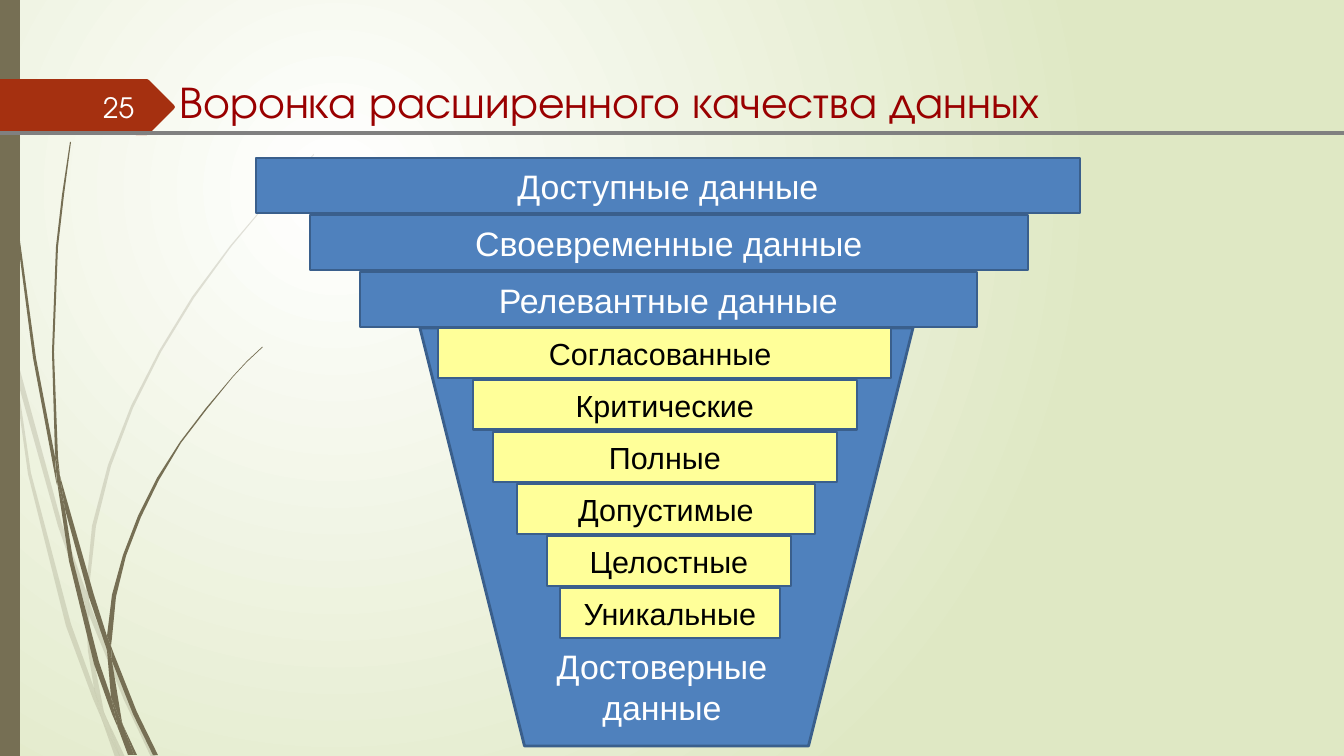
from dataclasses import dataclass

from lxml import etree
from pptx import Presentation
from pptx import util as u
from pptx.dml.color import RGBColor
from pptx.enum import shapes, text
from pptx.oxml.ns import qn

PX = 9071.43  # EMU in one px
W, H = 1344, 756
WHITE = RGBColor(0xFF, 0xFF, 0xFF)
BLACK = RGBColor(0x00, 0x00, 0x00)
LIME = RGBColor(0xDF, 0xE8, 0xC4)
OLIVE = RGBColor(0x76, 0x6F, 0x54)
RUST = RGBColor(0xA5, 0x30, 0x10)
MAROON = RGBColor(0x99, 0x00, 0x00)
GRAY = RGBColor(0x80, 0x80, 0x80)
BLUE = RGBColor(0x4F, 0x81, 0xBD)
NAVY = RGBColor(0x3A, 0x5F, 0x8C)
YELLOW = RGBColor(0xFF, 0xFF, 0x99)
HEAD_FONT, BODY_FONT = "TeX Gyre Adventor", "Arial"

Points = list[tuple[int, int]]


@dataclass
class Grass:
    alpha: int
    blades: list[Points]


@dataclass
class Band:
    label: str
    x: int
    w: int


@dataclass
class Tier:
    bands: list[Band]
    top: int
    step: int
    h: int
    fill: RGBColor
    color: RGBColor
    size: float


PALE_GRASS = Grass(20, [
    [(11, 353), (9, 325), (0, 284), (0, 301), (10, 347)],
    [(58, 526), (85, 604), (86, 591), (62, 524), (14, 348), (17, 379)],
    [(93, 612), (89, 601), (89, 615), (124, 700), (151, 757), (156, 757), (128, 698)],
    [(120, 757), (125, 757), (106, 717)],
    [(94, 688), (71, 624), (31, 473), (17, 379), (11, 353), (28, 474), (66, 626),
     (93, 699), (102, 720), (100, 713)],
    [(85, 604), (88, 651), (94, 688), (97, 698), (106, 717), (104, 712), (92, 651),
     (89, 615), (89, 613)],
    [(89, 589), (96, 526), (111, 466), (133, 408), (161, 352), (194, 298), (231, 247),
     (270, 200), (292, 176), (314, 155), (314, 154), (291, 176), (270, 199), (230, 246),
     (192, 297), (159, 351), (131, 406), (108, 465), (92, 526), (86, 589), (86, 591),
     (89, 601)],
    [(102, 720), (115, 757), (120, 757)],
    [(89, 613), (89, 615), (89, 601), (86, 591), (85, 604)],
    [(97, 698), (94, 688), (100, 713), (102, 720), (120, 757), (106, 717)],
])

DARK_GRASS = Grass(100, [
    [(7, 111), (17, 235), (33, 358), (56, 481), (57, 485), (55, 461), (55, 457),
     (36, 358), (19, 234), (8, 110), (5, 48), (4, 0), (3, 0), (4, 48)],
    [(89, 597), (107, 650), (107, 636), (94, 595), (60, 476), (65, 509)],
    [(114, 654), (111, 646), (112, 661), (133, 714), (153, 755), (158, 755), (137, 712)],
    [(111, 697), (99, 662), (73, 560), (65, 509), (57, 481), (69, 561), (94, 664),
     (112, 714), (118, 728), (117, 723)],
    [(60, 476), (58, 457), (54, 352), (58, 247), (64, 195), (71, 142), (70, 142),
     (62, 195), (56, 247), (52, 352), (55, 453)],
    [(134, 755), (137, 755), (123, 725)],
    [(57, 481), (65, 509), (60, 476), (55, 453), (55, 457)],
    [(112, 638), (116, 597), (126, 556), (141, 517), (159, 480), (181, 443), (207, 409),
     (233, 377), (247, 362), (263, 347), (262, 347), (247, 361), (233, 376), (206, 408),
     (180, 442), (157, 478), (138, 516), (123, 555), (112, 595), (107, 636), (111, 646)],
    [(118, 728), (128, 755), (132, 755)],
    [(107, 650), (111, 697), (117, 712), (123, 725), (122, 722), (112, 661), (110, 656)],
    [(107, 650), (110, 656), (112, 661), (111, 646), (107, 636)],
    [(117, 712), (111, 697), (117, 723), (118, 728), (131, 755), (134, 755), (123, 725)],
])

PAGE_TAG = [(174, 109), (149, 134), (147, 135), (137, 135), (0, 134), (0, 79),
            (137, 79), (147, 79), (149, 80), (174, 105), (175, 107)]

TIERS = [
    Tier([Band("Доступные данные", 256, 824),
          Band("Своевременные данные", 310, 718),
          Band("Релевантные данные", 360, 617)],
         158, 57, 55, BLUE, WHITE, 24.2),
    Tier([Band("Согласованные ", 438, 453),
          Band("Критические", 473, 384),
          Band("Полные", 493, 344),
          Band("Допустимые", 517, 298),
          Band("Целостные", 547, 244),
          Band("Уникальные", 560, 220)],
         328, 52, 50, YELLOW, BLACK, 21.8),
]


def emu(px: float) -> int:
    return round(px * PX)


def paint(sp, fill: RGBColor, line: RGBColor | None = None) -> None:
    sp.shadow.inherit = False
    sp.fill.solid()
    sp.fill.fore_color.rgb = fill
    if line is None:
        sp.line.fill.background()
    else:
        sp.line.color.rgb = line
        sp.line.width = u.Pt(2)


def add_block(s, kind, x: int, y: int, w: int, h: int, fill: RGBColor,
              line: RGBColor | None = None):
    sp = s.shapes.add_shape(kind, emu(x), emu(y), emu(w), emu(h))
    paint(sp, fill, line)
    return sp


def add_outline(s, points: Points, fill: RGBColor, alpha: int = 100) -> None:
    fb = s.shapes.build_freeform(*points[0], scale=PX)
    fb.add_line_segments(points[1:], close=True)
    sp = fb.convert_to_shape()
    paint(sp, fill)
    if alpha < 100:
        clr = sp.fill._xPr.find(qn("a:solidFill"))[0]
        etree.SubElement(clr, qn("a:alpha"), val=str(alpha * 1000))


def write(sp, words: str, *, size: float, color: RGBColor, font: str = BODY_FONT,
          align=text.PP_ALIGN.CENTER, anchor=text.MSO_ANCHOR.MIDDLE) -> None:
    tf = sp.text_frame
    tf.word_wrap = True
    tf.vertical_anchor = anchor
    p = tf.paragraphs[0]
    p.alignment = align
    r = p.add_run()
    r.text = words
    r.font.size = u.Pt(size)
    r.font.name = font
    r.font.color.rgb = color


def add_text(s, words: str, x: int, y: int, w: int, h: int, **style) -> None:
    write(s.shapes.add_textbox(emu(x), emu(y), emu(w), emu(h)), words, **style)


def set_background(s) -> None:
    fill = s.background.fill
    fill.gradient()
    for stop, color in zip(fill.gradient_stops, (WHITE, LIME)):
        stop.color.rgb = color
    # Radial glow centred in the upper left
    grad = s.background._cSld.find(".//" + qn("a:gradFill"))
    grad.remove(grad.find(qn("a:lin")))
    glow = etree.SubElement(grad, qn("a:path"), path="circle")
    etree.SubElement(glow, qn("a:fillToRect"), l="25000", t="25000", r="75000", b="75000")


def main() -> None:
    prs = Presentation()
    prs.slide_width, prs.slide_height = emu(W), emu(H)
    s = prs.slides.add_slide(prs.slide_layouts[6])
    kinds = shapes.MSO_SHAPE

    # Backdrop: glow, grass, side bar and page tag
    set_background(s)
    for grass in (PALE_GRASS, DARK_GRASS):
        for blade in grass.blades:
            add_outline(s, blade, OLIVE, grass.alpha)
    add_block(s, kinds.RECTANGLE, 0, 0, 20, H, OLIVE)
    add_outline(s, PAGE_TAG, RUST)

    # Title, page number and rule
    add_text(s, "Воронка расширенного качества данных", 170, 69, 1174, 81, size=32,
             color=MAROON, font=HEAD_FONT, align=text.PP_ALIGN.LEFT,
             anchor=text.MSO_ANCHOR.TOP)
    add_text(s, "25", 58, 87, 86, 40, size=20, color=WHITE, font=HEAD_FONT,
             align=text.PP_ALIGN.RIGHT)
    rule = s.shapes.add_connector(shapes.MSO_CONNECTOR.STRAIGHT, 0, emu(133), emu(W), emu(133))
    rule.line.color.rgb = GRAY
    rule.line.width = u.Pt(3)
    etree.SubElement(rule._element.spPr, qn("a:effectLst"))

    # Funnel
    funnel = add_block(s, kinds.TRAPEZOID, 420, 328, 493, 418, BLUE, NAVY)
    funnel.rotation = 180
    for tier in TIERS:
        for i, band in enumerate(tier.bands):
            sp = add_block(s, kinds.RECTANGLE, band.x, tier.top + i * tier.step,
                           band.w, tier.h, tier.fill, NAVY)
            write(sp, band.label, size=tier.size, color=tier.color)
    add_text(s, "Достоверные данные", 533, 641, 258, 93, size=24.2, color=WHITE,
             anchor=text.MSO_ANCHOR.TOP)

    prs.save("out.pptx")


if __name__ == "__main__":
    main()
